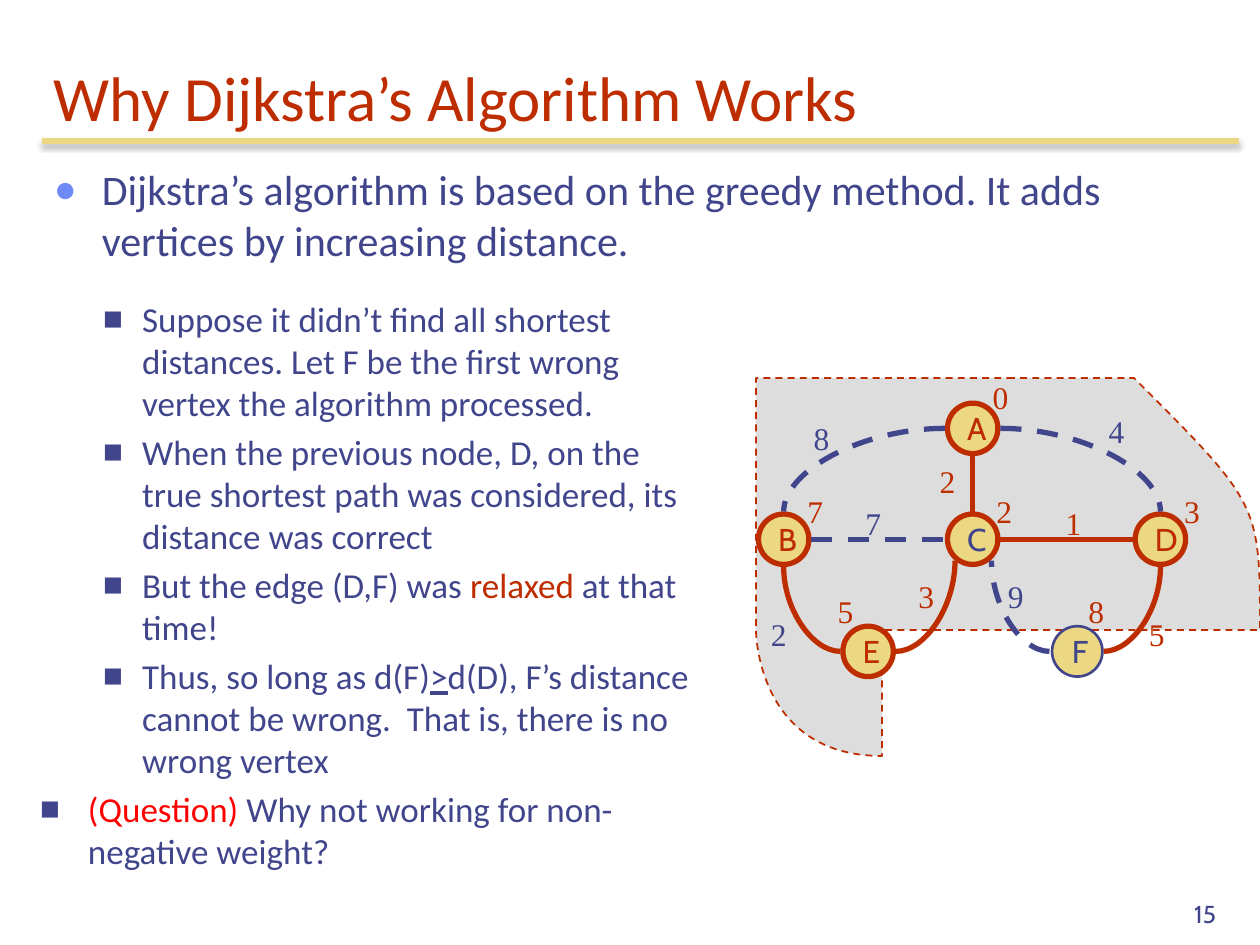
from lxml import etree
from pptx import Presentation
from pptx.dml.color import RGBColor
from pptx.enum.dml import MSO_LINE
from pptx.enum.shapes import MSO_CONNECTOR, MSO_SHAPE
from pptx.enum.text import MSO_ANCHOR, PP_ALIGN
from pptx.oxml.ns import qn
from pptx.util import Inches, Pt

RED = RGBColor(0xBE, 0x2D, 0x00)
BRIGHT_RED = RGBColor(0xFF, 0x00, 0x00)
NAVY = RGBColor(0x40, 0x45, 0x8C)
BLUE = RGBColor(0x6F, 0x89, 0xF7)
GOLD = RGBColor(0xEC, 0xD8, 0x82)
GRAY = RGBColor(0xDD, 0xDD, 0xDD)
DASH = MSO_LINE.DASH
STRAIGHT = MSO_CONNECTOR.STRAIGHT
CURVE = MSO_CONNECTOR.CURVE
OVAL = MSO_SHAPE.OVAL
TOP, MIDDLE, BOTTOM = MSO_ANCHOR.TOP, MSO_ANCHOR.MIDDLE, MSO_ANCHOR.BOTTOM
LEFT, RIGHT = PP_ALIGN.LEFT, PP_ALIGN.RIGHT

NODE_SIZE = 0.4
NODES = [
    ("A", 7.52, 3.2, RED, RED, 3), ("B", 6.02, 4.08, RED, RED, 3),
    ("C", 7.52, 4.08, NAVY, RED, 3), ("D", 9.01, 4.08, RED, RED, 3),
    ("E", 6.69, 4.97, RED, RED, 3), ("F", 8.35, 4.97, NAVY, NAVY, 1.5),
]
EDGES = [
    (CURVE, (7.5, 3.4), (6.22, 4.06), NAVY, DASH),
    (CURVE, (7.94, 3.4), (9.21, 4.06), NAVY, DASH),
    (CURVE, (6.67, 5.17), (6.22, 4.5), RED, None),
    (CURVE, (7.11, 5.17), (7.58, 4.45), RED, None),
    (CURVE, (8.76, 5.17), (9.21, 4.5), RED, None),
    (CURVE, (8.33, 5.17), (7.87, 4.45), NAVY, DASH),
    (STRAIGHT, (7.72, 3.62), (7.72, 4.06), RED, None),
    (STRAIGHT, (6.44, 4.28), (7.5, 4.28), NAVY, DASH),
    (STRAIGHT, (7.94, 4.28), (8.99, 4.28), RED, None),
]
DISTANCES = [
    ("0", 7.78, 2.95, RED), ("3", 9.3, 3.86, RED), ("2", 7.81, 3.86, RED),
    ("7", 6.31, 3.86, RED), ("5", 6.55, 4.65, RED), ("8", 8.54, 4.65, RED),
]
WEIGHTS = [
    ("4", 8.7, 3.22, NAVY), ("8", 6.36, 3.28, NAVY), ("7", 6.77, 3.95, NAVY),
    ("1", 8.36, 3.95, RED), ("2", 6.02, 4.83, NAVY), ("5", 9.02, 4.83, RED),
    ("2", 7.36, 3.62, RED), ("3", 7.19, 4.53, RED), ("9", 7.9, 4.53, NAVY),
]
CLOUD = [
    (8.06, 2.97),
    (8.39, 3), (9.05, 3.02), (9.32, 3.29), (9.59, 3.57), (9.92, 4.4), (9.69, 4.62),
    (9.46, 4.84), (8.33, 4.51), (7.96, 4.63), (7.59, 4.75), (7.68, 5.2), (7.45, 5.36),
    (7.22, 5.51), (6.82, 5.58), (6.59, 5.55), (6.35, 5.51), (6.14, 5.38), (6.03, 5.13),
    (5.92, 4.88), (5.86, 4.38), (5.93, 4.06), (6, 3.74), (6.22, 3.38), (6.46, 3.21),
    (6.7, 3.04), (7.09, 3.06), (7.36, 3.02), (7.62, 2.98), (7.92, 2.98), (8.06, 2.97),
]
INTRO = "Dijkstra’s algorithm is based on the greedy method. It adds vertices by increasing distance."
ARGUMENT = [
    (1, [("Suppose it didn’t find all shortest distances. Let F be the first wrong "
          "vertex the algorithm processed.", {})]),
    (1, [("When the previous node, D, on the true shortest path was considered, "
          "its distance was correct", {})]),
    (1, [("But the edge (D,F) was ", {}), ("relaxed", {"color": RED}), (" at that time!", {})]),
    (1, [("Thus, so long as d(F)", {}), (">", {"underline": True}),
         ("d(D), F’s distance cannot be wrong.  That is, there is no wrong vertex", {})]),
    (0, [("(Question) ", {"color": BRIGHT_RED}), ("Why not working for non-negative weight?", {})]),
]


def add_run(paragraph, text, size, name, color, **extra):
    """Append one formatted run to a paragraph."""
    run = paragraph.add_run()
    run.text = text
    run.font.color.rgb = color
    for attribute, value in {"size": Pt(size), "name": name, **extra}.items():
        setattr(run.font, attribute, value)


def add_box(slide, left, top, width, height, wrap=True, anchor=TOP):
    """Add an empty text box and return its text frame."""
    frame = slide.shapes.add_textbox(*map(Inches, (left, top, width, height))).text_frame
    frame.word_wrap = wrap
    frame.vertical_anchor = anchor
    return frame


def add_label(slide, bounds, text, size, name, color, wrap=True, anchor=TOP, align=LEFT):
    """Add a text box that holds a single line of text."""
    paragraph = add_box(slide, *bounds, wrap, anchor).paragraphs[0]
    paragraph.alignment = align
    add_run(paragraph, text, size, name, color)


def set_bullet(paragraph, character, color, percent, margin, hanging):
    """Give a paragraph a bullet and a hanging indent."""
    properties = paragraph._p.get_or_add_pPr()
    properties.set("marL", str(Inches(margin)))
    properties.set("indent", str(-Inches(hanging)))
    bullet_color = etree.SubElement(properties, qn("a:buClr"))
    etree.SubElement(bullet_color, qn("a:srgbClr"), val=str(color))
    etree.SubElement(properties, qn("a:buSzPct"), val=str(percent * 1000))
    etree.SubElement(properties, qn("a:buFont"), typeface="Calibri")
    etree.SubElement(properties, qn("a:buChar"), char=character)


def add_line(slide, kind, start, end, color, dash=None):
    """Add a connector and return its empty effect list."""
    connector = slide.shapes.add_connector(kind, *map(Inches, (*start, *end)))
    connector.line.color.rgb = color
    connector.line.width = Pt(3)
    connector.line.dash_style = dash
    properties = connector._element.spPr
    if kind == CURVE:
        properties.find(qn("a:prstGeom")).set("prst", "curvedConnector2")
    return etree.SubElement(properties, qn("a:effectLst"))


def add_title(slide):
    """Add the title and the shadowed rule under it."""
    effects = add_line(slide, STRAIGHT, (0.33, 1.12), (9.83, 1.12), GOLD)
    shadow = etree.SubElement(effects, qn("a:outerShdw"), blurRad=str(Pt(3.1)),
                              dist=str(Pt(1.8)), dir="5400000", rotWithShape="0")
    shadow_color = etree.SubElement(shadow, qn("a:srgbClr"), val="000000")
    etree.SubElement(shadow_color, qn("a:alpha"), val="35000")
    add_label(slide, (0.33, 0.33, 9.5, 0.78), "Why Dijkstra’s Algorithm Works",
              36, "Calibri", RED, anchor=BOTTOM)


def add_argument(slide):
    """Add the bulleted steps of the argument."""
    frame = add_box(slide, 0.22, 2.31, 5.36, 4.27)
    for index, (level, runs) in enumerate(ARGUMENT):
        paragraph = frame.add_paragraph() if index else frame.paragraphs[0]
        paragraph.level = level
        margin, hanging = (0.81, 0.31) if level else (0.38, 0.38)
        set_bullet(paragraph, "■", NAVY, 60, margin, hanging)
        paragraph.space_before = Pt(4 if index else 0)
        for text, style in runs:
            add_run(paragraph, text, **{"size": 20, "name": "Calibri", "color": NAVY, **style})


def style_shape(shape, fill, line, width):
    """Set the fill and outline of a shape without a shadow."""
    shape.shadow.inherit = False
    shape.fill.solid()
    shape.fill.fore_color.rgb = fill
    shape.line.color.rgb = line
    shape.line.width = Pt(width)


def add_cloud(slide):
    """Add the smooth dashed region around the processed vertices."""
    builder = slide.shapes.build_freeform(*CLOUD[0], scale=Inches(1) / 1.0)
    builder.add_line_segments(CLOUD[1:], close=True)
    shape = builder.convert_to_shape()
    style_shape(shape, GRAY, RED, 1)
    shape.line.dash_style = DASH
    segments = list(shape._element.iter(qn("a:lnTo")))
    for first in range(0, len(CLOUD) - 1, 3):
        curve = etree.Element(qn("a:cubicBezTo"))
        segments[first].addprevious(curve)
        for segment in segments[first:first + 3]:
            curve.append(segment[0])
            segment.getparent().remove(segment)


def add_node(slide, name, left, top, color, outline, width):
    """Add one named vertex."""
    shape = slide.shapes.add_shape(OVAL, *map(Inches, (left, top, NODE_SIZE, NODE_SIZE)))
    style_shape(shape, GOLD, outline, width)
    frame = shape.text_frame
    frame.word_wrap = False
    frame.vertical_anchor = MIDDLE
    frame.paragraphs[0].alignment = LEFT
    add_run(frame.paragraphs[0], name, 18, "Cabin", color)


def main():
    """Build the slide and save it."""
    presentation = Presentation()
    presentation.slide_width, presentation.slide_height = Inches(10), Inches(7.5)
    slide = presentation.slides.add_slide(presentation.slide_layouts[6])
    add_title(slide)
    intro = add_box(slide, 0.33, 1.25, 9.5, 5.67).paragraphs[0]
    set_bullet(intro, "•", BLUE, 110, 0.38, 0.38)
    add_run(intro, INTRO, 24, "Calibri", NAVY)
    add_cloud(slide)
    for node in NODES:
        add_node(slide, *node)
    for edge in EDGES:
        add_line(slide, *edge)
    for text, left, top, color in DISTANCES + WEIGHTS:
        add_label(slide, (left, top, 0.33, 0.4), text, 18, "Times New Roman", color, wrap=False)
    add_argument(slide)
    add_label(slide, (7.67, 6.92, 2.08, 0.5), "15", 14, "Cabin", NAVY, anchor=BOTTOM, align=RIGHT)
    presentation.save("out.pptx")


if __name__ == "__main__":
    main()
